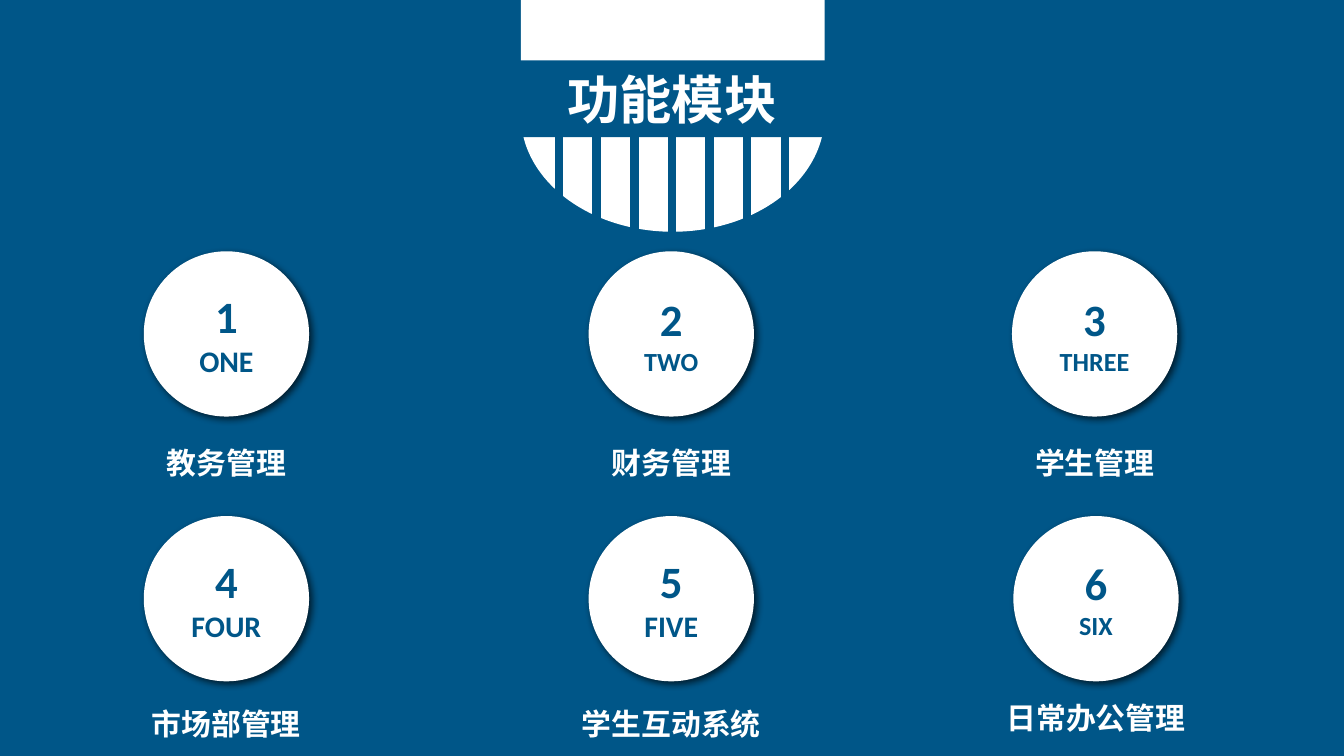
from dataclasses import dataclass

import pptx
import pptx.dml.color
import pptx.enum.shapes
import pptx.enum.text
import pptx.oxml
import pptx.oxml.ns
import pptx.util
from pptx.util import Inches

BLUE = "005688"
WHITE = "FFFFFF"
FONT = "Calibri"
SLIDE_WIDTH = Inches(10)
CIRCLE_SIZE = 1.23
LABEL_WIDTH = 2.21
ROW_TOPS = (1.87, 3.84)


@dataclass
class Module:
    number: str
    word: str
    label: str
    left: float
    row: int
    label_top: float
    word_size: int = 16


MODULES = [
    Module("1", "ONE", "教务管理", 1.07, 0, 3.13),
    Module("2", "TWO", "财务管理", 4.38, 0, 3.13, 14),
    Module("3", "THREE", "学生管理", 7.53, 0, 3.13, 14),
    Module("4", "FOUR", "市场部管理", 1.07, 1, 5.07),
    Module("5", "FIVE", "学生互动系统", 4.38, 1, 5.07),
    Module("6", "SIX", "日常办公管理", 7.54, 1, 5.02, 14),
]


def color(value: str) -> pptx.dml.color.RGBColor:
    return pptx.dml.color.RGBColor.from_string(value)


def paint(shape, value: str) -> None:
    """Give the shape a plain fill without outline or shadow."""
    shape.fill.solid()
    shape.fill.fore_color.rgb = color(value)
    shape.line.fill.background()
    shape.shadow.inherit = False


def write(paragraph, text: str, size: int, value: str) -> None:
    """Write bold centred text."""
    paragraph.text = text
    paragraph.alignment = pptx.enum.text.PP_ALIGN.CENTER
    paragraph.font.name = FONT
    paragraph.font.size = pptx.util.Pt(size)
    paragraph.font.bold = True
    paragraph.font.color.rgb = color(value)


def add_drop_shadow(shape) -> None:
    effects = shape._element.spPr.find(pptx.oxml.ns.qn("a:effectLst"))
    effects.append(pptx.oxml.parse_xml(
        f'<a:outerShdw {pptx.oxml.ns.nsdecls("a")} blurRad="{pptx.util.Pt(4)}" '
        f'dist="{pptx.util.Pt(2)}" dir="2700000" algn="tl" rotWithShape="0">'
        '<a:srgbClr val="000000"><a:alpha val="65000"/></a:srgbClr></a:outerShdw>'))


def add_banner(slide) -> None:
    """Draw the rounded banner, the title across it and its stripes."""
    banner = slide.shapes.add_shape(
        pptx.enum.shapes.MSO_SHAPE.FLOWCHART_DELAY,
        Inches(4.14), Inches(-0.27), Inches(1.73), Inches(2.26))
    banner.rotation = 90
    paint(banner, WHITE)

    title = slide.shapes.title
    title.left, title.top = Inches(3.62), Inches(0.45)
    title.width, title.height = Inches(2.76), Inches(0.57)
    title.fill.solid()
    title.fill.fore_color.rgb = color(BLUE)
    title.text_frame.auto_size = pptx.enum.text.MSO_AUTO_SIZE.NONE
    title.text_frame.vertical_anchor = pptx.enum.text.MSO_ANCHOR.MIDDLE
    write(title.text_frame.paragraphs[0], "功能模块", 28, WHITE)
    banner._element.addnext(title._element)

    for index in range(7):
        x = Inches(4.16 + 0.28 * index)
        stripe = slide.shapes.add_connector(
            pptx.enum.shapes.MSO_CONNECTOR.STRAIGHT, x, Inches(0.99), x, Inches(1.89))
        stripe.line.color.rgb = color(BLUE)
        stripe.line.width = pptx.util.Pt(4.5)
        stripe._element.spPr.append(pptx.oxml.parse_xml(
            f'<a:effectLst {pptx.oxml.ns.nsdecls("a")}/>'))


def add_module(slide, module: Module) -> None:
    circle = slide.shapes.add_shape(
        pptx.enum.shapes.MSO_SHAPE.OVAL, Inches(module.left),
        Inches(ROW_TOPS[module.row]), Inches(CIRCLE_SIZE), Inches(CIRCLE_SIZE))
    paint(circle, WHITE)
    add_drop_shadow(circle)
    frame = circle.text_frame
    frame.vertical_anchor = pptx.enum.text.MSO_ANCHOR.MIDDLE
    write(frame.paragraphs[0], module.number, 24, BLUE)
    write(frame.add_paragraph(), module.word, module.word_size, BLUE)

    label_left = module.left + (CIRCLE_SIZE - LABEL_WIDTH) / 2
    label = slide.shapes.add_textbox(
        Inches(label_left), Inches(module.label_top), Inches(LABEL_WIDTH), Inches(0.45))
    label.text_frame.word_wrap = True
    paragraph = label.text_frame.paragraphs[0]
    write(paragraph, module.label, 16, WHITE)
    paragraph.line_spacing = 1.5


def main() -> None:
    presentation = pptx.Presentation()
    presentation.slide_width = SLIDE_WIDTH
    presentation.slide_height = SLIDE_WIDTH * 9 // 16
    slide = presentation.slides.add_slide(
        presentation.slide_layouts.get_by_name("Title Only"))
    slide.background.fill.solid()
    slide.background.fill.fore_color.rgb = color(BLUE)
    add_banner(slide)
    for module in MODULES:
        add_module(slide, module)
    presentation.save("out.pptx")


if __name__ == "__main__":
    main()
